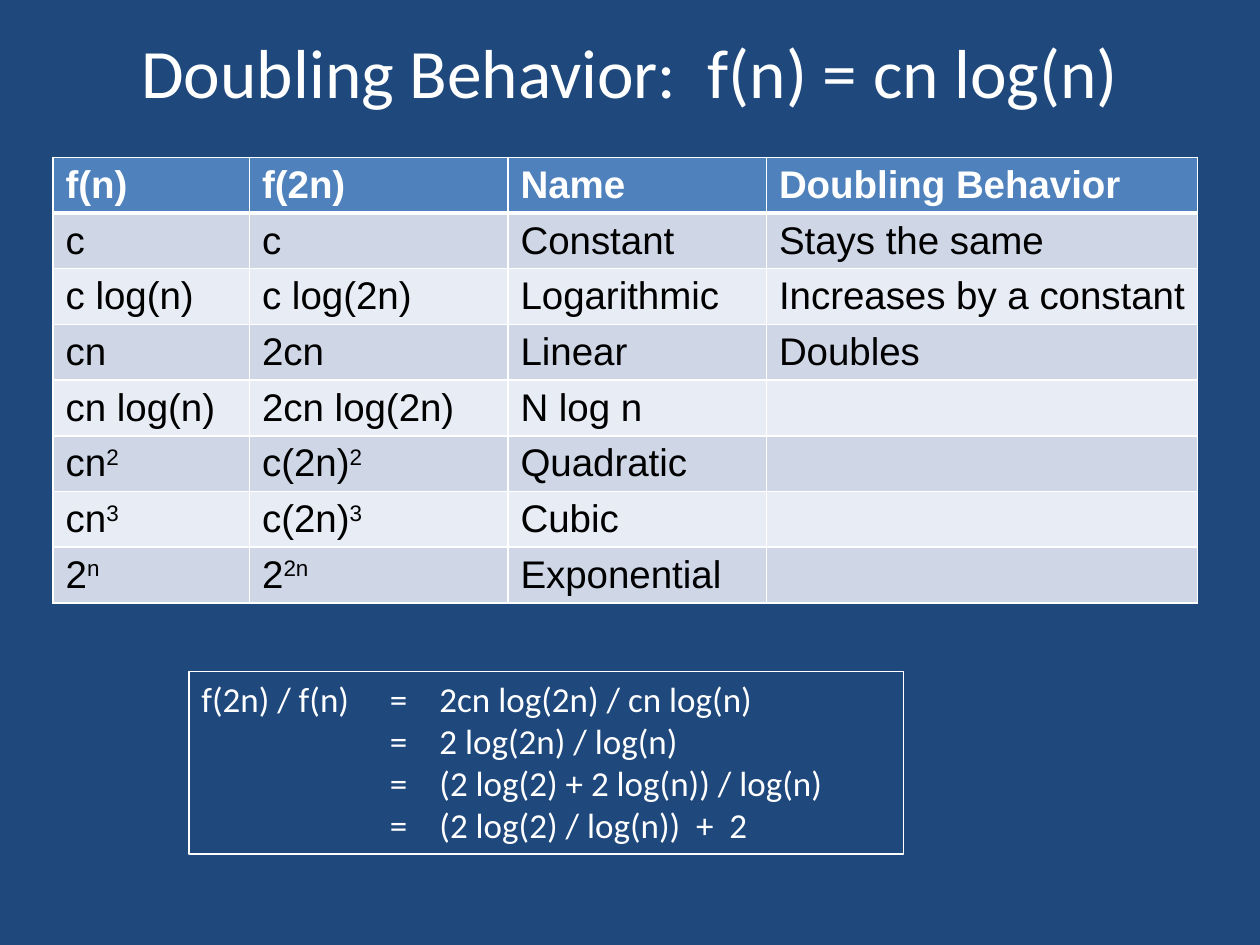
"""Builds the slide on doubling behavior of n log n growth."""
from dataclasses import dataclass

from lxml import etree
from pptx import Presentation
from pptx import util as u
from pptx.dml import color
from pptx.enum import shapes, text
from pptx.oxml import ns


@dataclass(frozen=True)
class Theme:
    background: str = "1F497D"
    light: str = "FFFFFF"
    dark: str = "000000"
    header: str = "4F81BD"
    bands: tuple = ("CFD7E7", "E8ECF4")
    heading_font: str = "Calibri"
    table_font: str = "Arial"
    title_size: float = 39.6
    table_size: float = 22
    derivation_size: float = 20
    rule: float = 1
    header_rule: float = 3
    frame: float = 0.75


def rgb(value):
    return color.RGBColor.from_string(value)


class SlideBuilder:
    def __init__(self, slide, theme):
        self.slide = slide
        self.theme = theme
        slide.background.fill.solid()
        slide.background.fill.fore_color.rgb = rgb(theme.background)

    def format_runs(self, paragraph, font, size, ink, bold=False):
        for run in paragraph.runs:
            run.font.name = font
            run.font.size = u.Pt(size)
            run.font.color.rgb = rgb(ink)
            run.font.bold = bold

    def title(self, wording, left, top, width, height):
        heading = self.slide.shapes.title
        heading.left, heading.top = u.Cm(left), u.Cm(top)
        heading.width, heading.height = u.Cm(width), u.Cm(height)
        frame = heading.text_frame
        frame.text = wording
        frame.vertical_anchor = text.MSO_ANCHOR.MIDDLE
        frame.paragraphs[0].alignment = text.PP_ALIGN.CENTER
        self.format_runs(frame.paragraphs[0], self.theme.heading_font,
                         self.theme.title_size, self.theme.light)

    def border(self, cell, side, points):
        line = etree.SubElement(cell._tc.get_or_add_tcPr(), ns.qn(f"a:ln{side}"),
                                w=str(u.Pt(points)))
        fill = etree.SubElement(line, ns.qn("a:solidFill"))
        etree.SubElement(fill, ns.qn("a:srgbClr"), val=self.theme.light)

    def cell(self, cell, wording, row):
        theme = self.theme
        is_header = row == 0
        top = theme.header_rule if row == 1 else theme.rule
        bottom = theme.header_rule if is_header else theme.rule
        for side, points in zip("LRTB", (theme.rule, theme.rule, top, bottom)):
            self.border(cell, side, points)
        cell.fill.solid()
        cell.fill.fore_color.rgb = rgb(theme.header if is_header else theme.bands[(row - 1) % 2])
        base, _, exponent = wording.partition("^")
        paragraph = cell.text_frame.paragraphs[0]
        paragraph.text = base
        if exponent:
            power = paragraph.add_run()
            power.text = exponent
            power._r.get_or_add_rPr().set("baseline", "30000")
        self.format_runs(paragraph, theme.table_font, theme.table_size,
                         theme.light if is_header else theme.dark, is_header)

    def table(self, rows, left, top, widths, row_height):
        grid = self.slide.shapes.add_table(
            len(rows), len(widths), u.Cm(left), u.Cm(top),
            u.Cm(sum(widths)), u.Cm(row_height * len(rows))).table
        for column, width in zip(grid.columns, widths):
            column.width = u.Cm(width)
        for row, wordings in enumerate(rows):
            grid.rows[row].height = u.Cm(row_height)
            for column, wording in enumerate(wordings):
                self.cell(grid.cell(row, column), wording, row)

    def derivation(self, steps, left, top, width, height, stops):
        box = self.slide.shapes.add_shape(
            shapes.MSO_SHAPE.RECTANGLE, u.Cm(left), u.Cm(top), u.Cm(width), u.Cm(height))
        box.shadow.inherit = False
        box.fill.background()
        box.line.color.rgb = rgb(self.theme.light)
        box.line.width = u.Pt(self.theme.frame)
        frame = box.text_frame
        frame.word_wrap = True
        frame.vertical_anchor = text.MSO_ANCHOR.TOP
        frame.text = "\n".join("\t".join(step) for step in steps)
        for paragraph in frame.paragraphs:
            paragraph.alignment = text.PP_ALIGN.LEFT
            tabs = etree.SubElement(paragraph._p.get_or_add_pPr(), ns.qn("a:tabLst"))
            for stop in stops:
                etree.SubElement(tabs, ns.qn("a:tab"), pos=str(u.Cm(stop)), algn="l")
            self.format_runs(paragraph, self.theme.heading_font,
                             self.theme.derivation_size, self.theme.light)


GROWTH = [
    ("f(n)", "f(2n)", "Name", "Doubling Behavior"),
    ("c", "c", "Constant", "Stays the same"),
    ("c log(n)", "c log(2n)", "Logarithmic", "Increases by a constant"),
    ("cn", "2cn", "Linear", "Doubles"),
    ("cn log(n)", "2cn log(2n)", "N log n", ""),
    ("cn^2", "c(2n)^2", "Quadratic", ""),
    ("cn^3", "c(2n)^3", "Cubic", ""),
    ("2^n", "2^2n", "Exponential", ""),
]
RATIO = [
    ("f(2n) / f(n)", "=", "2cn log(2n) / cn log(n)"),
    ("", "=", "2 log(2n) / log(n)"),
    ("", "=", "(2 log(2) + 2 log(n)) / log(n)"),
    ("", "=", "(2 log(2) / log(n))  +  2"),
]

deck = Presentation()
deck.slide_width, deck.slide_height = u.Cm(25.4), u.Cm(19.05)
builder = SlideBuilder(deck.slides.add_slide(deck.slide_layouts.get_by_name("Title Only")), Theme())
builder.title("Doubling Behavior:  f(n) = cn log(n)", 1.27, 0.43, 22.86, 1.98)
builder.table(GROWTH, 1.07, 3.17, (3.96, 5.21, 5.21, 8.69), 1.04)
builder.derivation(RATIO, 3.81, 13.54, 14.4, 3.68, (3.8, 4.8))
deck.save("out.pptx")
